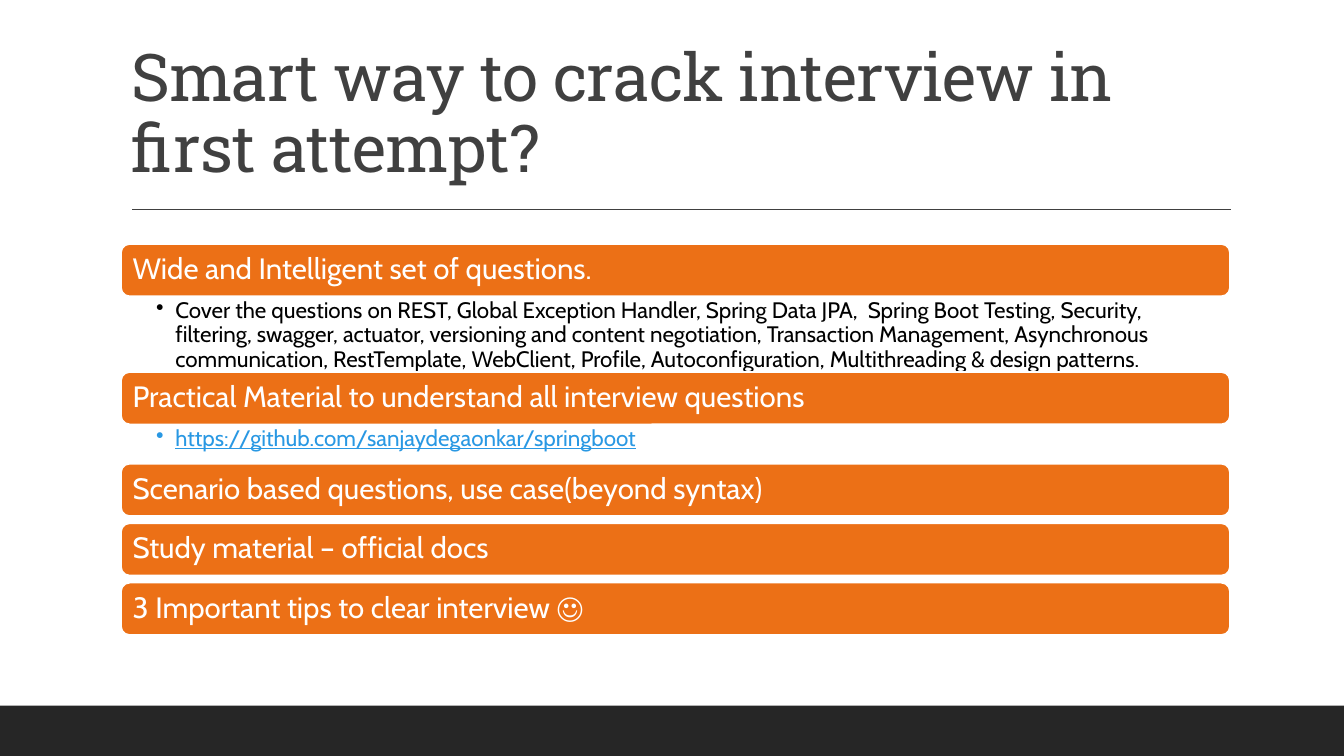
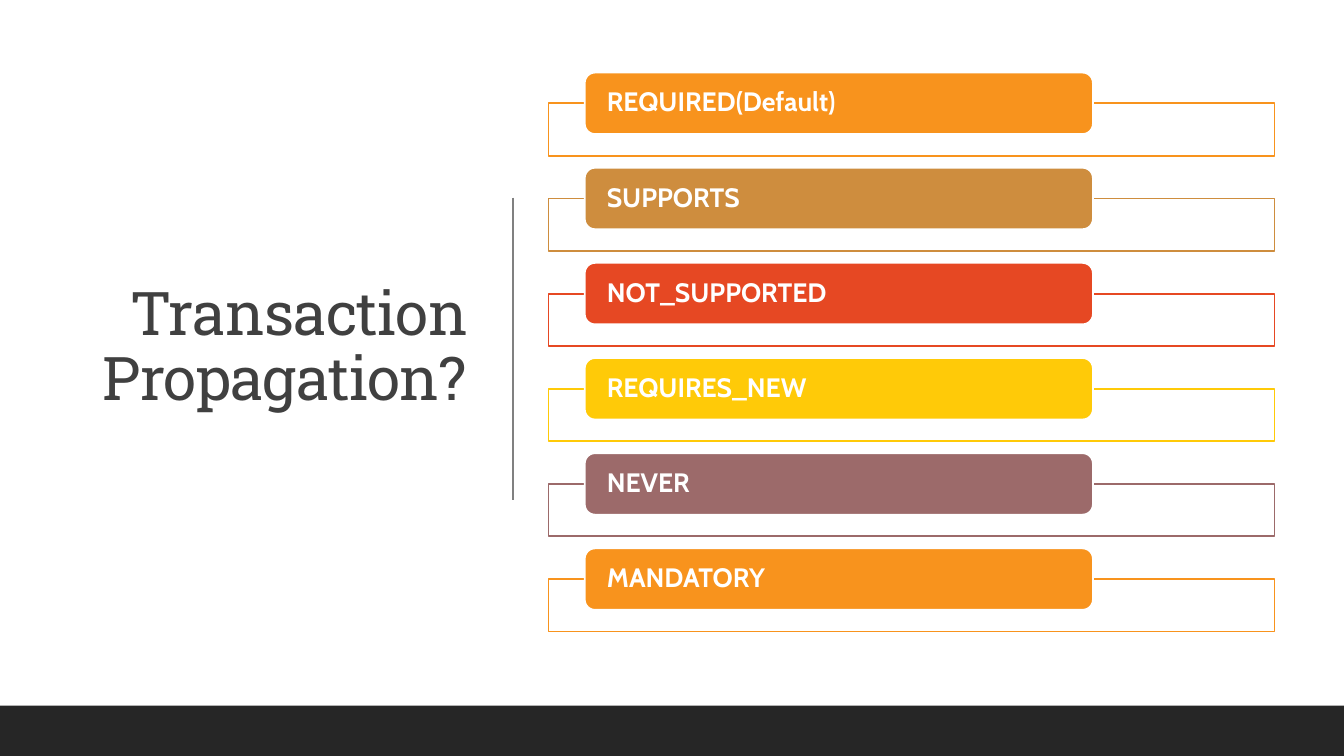
from dataclasses import dataclass
from itertools import cycle

import pptx
import pptx.util
import pptx.dml.color
import pptx.enum.shapes
import pptx.enum.text
import pptx.oxml.ns
from lxml import etree

Inches, Pt = pptx.util.Inches, pptx.util.Pt
SHAPE = pptx.enum.shapes.MSO_SHAPE
ANCHOR = pptx.enum.text.MSO_ANCHOR
ALIGN = pptx.enum.text.PP_ALIGN
qn = pptx.oxml.ns.qn


@dataclass(frozen=True)
class Theme:
    title_font: str = "Roboto Slab"
    body_font: str = "Cabin"
    white: str = "FFFFFF"
    black: str = "000000"
    title: str = "404040"
    band: str = "262626"
    divider: str = "808080"
    bar: str = "EC7016"
    link: str = "2998E3"
    accents: tuple = ("F8931D", "CE8D3E", "E64823", "FFCA08", "9C6A6A")
    wide_title_size: int = 47
    side_title_size: int = 43
    bar_size: int = 21
    tab_size: int = 19
    detail_size: int = 16
    outline: float = 1.25
    rule: float = 1
    line_spacing: float = 0.9


THEME = Theme()
SLIDE_WIDTH, SLIDE_HEIGHT, BAND_HEIGHT = 13.33, 7.5, 0.5

TIPS_TITLE = "Smart way to crack interview in first attempt?"
# heading, detail, height of the detail, detail is a web address
TIPS = [
    ("Wide and Intelligent set of questions.",
     "Cover the questions on REST, Global Exception Handler, Spring Data JPA,  "
     "Spring Boot Testing, Security, filtering, swagger, actuator, versioning and "
     "content negotiation, Transaction Management, Asynchronous communication, "
     "RestTemplate, WebClient, Profile, Autoconfiguration, Multithreading & "
     "design patterns.", 0.75, False),
    ("Practical Material to understand all interview questions",
     "https://github.com/sanjaydegaonkar/springboot", 0.39, True),
    ("Scenario based questions, use case(beyond syntax)", None, 0.07, False),
    ("Study material – official docs", None, 0.07, False),
    ("3 Important tips to clear interview ☺", None, 0.07, False),
]

PROPAGATION_TITLE = "Transaction Propagation?"
PROPAGATIONS = ["REQUIRED(Default)", "SUPPORTS", "NOT_SUPPORTED",
                "REQUIRES_NEW", "NEVER", "MANDATORY"]


def rgb(color):
    return pptx.dml.color.RGBColor.from_string(color)


def write(shape, text, font, size, color, anchor, insets=(0.1, 0.05, 0.1, 0.05),
          align=ALIGN.LEFT, bold=False, underline=False, hanging=None):
    """Fill a shape with one paragraph; hanging is the bullet's indent."""
    frame = shape.text_frame
    frame.word_wrap = True
    frame.auto_size = pptx.enum.text.MSO_AUTO_SIZE.NONE
    frame.vertical_anchor = anchor
    (frame.margin_left, frame.margin_top,
     frame.margin_right, frame.margin_bottom) = map(Inches, insets)
    frame.text = text
    paragraph = frame.paragraphs[0]
    paragraph.alignment = align
    paragraph.line_spacing = THEME.line_spacing
    if hanging:
        properties = paragraph._p.get_or_add_pPr()
        properties.set("marL", str(Inches(hanging)))
        properties.set("indent", str(-Inches(hanging)))
        etree.SubElement(properties, qn("a:buChar")).set("char", "•")
    paragraph.font.name = font
    paragraph.font.size = Pt(size)
    paragraph.font.color.rgb = rgb(color)
    paragraph.font.bold = bold
    paragraph.font.underline = underline
    return paragraph


def add_box(slide, kind, box, fill, outline=None):
    shape = slide.shapes.add_shape(kind, *map(Inches, box))
    shape.shadow.inherit = False
    shape.fill.solid()
    shape.fill.fore_color.rgb = rgb(fill)
    if outline:
        shape.line.color.rgb = rgb(outline)
        shape.line.width = Pt(THEME.outline)
    else:
        shape.line.fill.background()
    return shape


def add_rule(slide, start, end, color):
    rule = slide.shapes.add_connector(
        pptx.enum.shapes.MSO_CONNECTOR.STRAIGHT, *map(Inches, start + end))
    rule.line.color.rgb = rgb(color)
    rule.line.width = Pt(THEME.rule)
    etree.SubElement(rule._element.spPr, qn("a:effectLst"))


def add_titled_slide(presentation, text, box, size, anchor, align):
    """Add a slide with its title and the dark band along the bottom."""
    slide = presentation.slides.add_slide(presentation.slide_layouts[5])
    title = slide.shapes.title
    title.left, title.top, title.width, title.height = map(Inches, box)
    paragraph = write(title, text, THEME.title_font, size, THEME.title, anchor, align=align)
    paragraph._p.pPr.find(qn("a:defRPr")).set("spc", "-50")
    add_box(slide, SHAPE.RECTANGLE,
            (0, SLIDE_HEIGHT - BAND_HEIGHT, SLIDE_WIDTH, BAND_HEIGHT), THEME.band)
    return slide


def build_tips(presentation):
    left, top, width, bar_height = 1.2, 2.42, 11, 0.52
    slide = add_titled_slide(presentation, TIPS_TITLE, (left, 0.31, width, 1.59),
                             THEME.wide_title_size, ANCHOR.BOTTOM, ALIGN.LEFT)
    add_rule(slide, (1.31, 2.08), (12.21, 2.08), THEME.title)
    for heading, detail, detail_height, is_link in TIPS:
        bar = add_box(slide, SHAPE.ROUNDED_RECTANGLE, (left, top, width, bar_height),
                      THEME.bar, THEME.white)
        write(bar, heading, THEME.body_font, THEME.bar_size, THEME.white,
              ANCHOR.MIDDLE, (0.09, 0.05, 0.09, 0.05))
        top += bar_height
        if detail:
            box = slide.shapes.add_textbox(*map(Inches, (left, top, width, detail_height)))
            write(box, detail, THEME.body_font, THEME.detail_size,
                  THEME.link if is_link else THEME.black, ANCHOR.TOP,
                  (0.35, 0.03, 0.16, 0.03), underline=is_link, hanging=0.19)
        top += detail_height


def build_propagation(presentation):
    slide = add_titled_slide(presentation, PROPAGATION_TITLE, (0.7, 0.69, 4.03, 5.53),
                             THEME.side_title_size, ANCHOR.MIDDLE, ALIGN.RIGHT)
    add_rule(slide, (5.09, 1.96), (5.09, 4.96), THEME.divider)
    left, width, frame_height, tab_height = 5.44, 7.2, 0.52, 0.61
    first_top, last_top = 0.72, 5.44
    pitch = (last_top - first_top) / (len(PROPAGATIONS) - 1)
    for row, (name, color) in enumerate(zip(PROPAGATIONS, cycle(THEME.accents))):
        top = first_top + row * pitch
        add_box(slide, SHAPE.RECTANGLE,
                (left, top + tab_height / 2, width, frame_height), THEME.white, color)
        tab = add_box(slide, SHAPE.ROUNDED_RECTANGLE,
                      (left + 0.05 * width, top, 0.7 * width, tab_height),
                      color, THEME.white)
        write(tab, name, THEME.body_font, THEME.tab_size, THEME.white,
              ANCHOR.MIDDLE, (0.19, 0, 0.19, 0), bold=True)


def main():
    presentation = pptx.Presentation()
    presentation.slide_width = Inches(SLIDE_WIDTH)
    presentation.slide_height = Inches(SLIDE_HEIGHT)
    build_tips(presentation)
    build_propagation(presentation)
    presentation.save("out.pptx")


if __name__ == "__main__":
    main()
